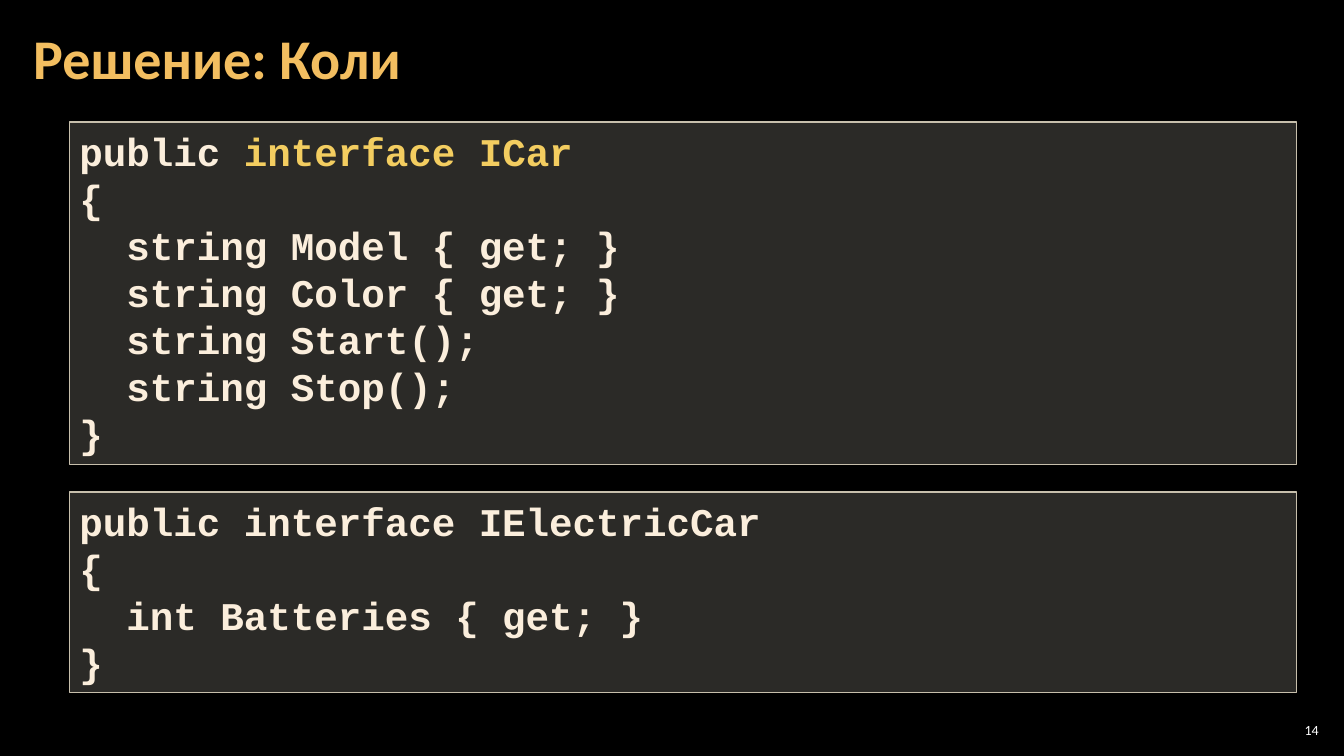
from lxml import etree
from pptx import Presentation
from pptx.dml.color import RGBColor
from pptx.enum.shapes import MSO_SHAPE as Shape
from pptx.enum.text import MSO_ANCHOR as Anchor, MSO_AUTO_SIZE as AutoSize, PP_ALIGN as Align
from pptx.oxml.ns import qn
from pptx.util import Inches, Pt

COLORS = {
    "background": "000000",
    "title": "F3BE60",
    "panel": "D9D5C7",
    "border": "C7BFAC",
    "code": "FBEEDC",
    "keyword": "F3CD60",
    "number": "FFFFFF",
}
PANEL_OPACITY = 20
TITLE = {"text": "Решение: Коли", "box": (0.21, 0, 10.47, 1.21), "insets": (0.12, 0.04),
         "size": 40, "color": "title", "bold": True, "align": Align.LEFT, "spacing": 0.9}
NUMBER = {"text": "14", "box": (12.65, 7.14, 0.47, 0.21), "insets": (0.04, 0.04),
          "size": 10, "color": "number", "bold": False, "align": Align.RIGHT, "spacing": 1.0}
CODE_LEFT, CODE_WIDTH = 0.69, 12.17
LISTINGS = [
    {"top": 1.21, "height": 3.4, "lines": [
        [("public ", "code"), ("interface ICar", "keyword")],
        [("{", "code")],
        [("  string Model { get; }", "code")],
        [("  string Color { get; }", "code")],
        [("  string Start();", "code")],
        [("  string Stop();", "code")],
        [("}", "code")],
    ]},
    {"top": 4.88, "height": 1.99, "lines": [
        [("public interface IElectricCar", "code")],
        [("{", "code")],
        [("  int Batteries { get; }", "code")],
        [("}", "code")],
    ]},
]


def rgb(name):
    return RGBColor.from_string(COLORS[name])


def style(font, face, size, color, bold):
    font.name, font.size, font.bold = face, Pt(size), bold
    font.color.rgb = rgb(color)


def add_label(slide, label):
    frame = slide.shapes.add_textbox(*map(Inches, label["box"])).text_frame
    frame.word_wrap = True
    frame.vertical_anchor = Anchor.MIDDLE
    side, edge = map(Inches, label["insets"])
    frame.margin_left = frame.margin_right = side
    frame.margin_top = frame.margin_bottom = edge
    frame.text = label["text"]
    line = frame.paragraphs[0]
    line.alignment, line.line_spacing = label["align"], label["spacing"]
    style(line.runs[0].font, "Calibri", label["size"], label["color"], label["bold"])


def add_listing(slide, listing):
    box = (CODE_LEFT, listing["top"], CODE_WIDTH, listing["height"])
    panel = slide.shapes.add_shape(Shape.RECTANGLE, *map(Inches, box))
    panel.shadow.inherit = False
    panel.fill.solid()
    panel.fill.fore_color.rgb = rgb("panel")
    tint = panel.fill._xPr.find(qn("a:solidFill"))[0]
    etree.SubElement(tint, qn("a:alpha")).set("val", str(PANEL_OPACITY * 1000))
    panel.line.color.rgb = rgb("border")
    panel.line.width = Pt(1)
    frame = panel.text_frame
    frame.word_wrap = True
    frame.auto_size = AutoSize.SHAPE_TO_FIT_TEXT
    frame.vertical_anchor = Anchor.TOP
    frame.text = "\n".join("" for _ in listing["lines"])
    for line, pieces in zip(frame.paragraphs, listing["lines"]):
        line.alignment = Align.LEFT
        for text, color in pieces:
            run = line.add_run()
            run.text = text
            style(run.font, "Courier New", 28, color, True)


def main():
    """Build the slide with two interface listings."""
    deck = Presentation()
    deck.slide_width, deck.slide_height = Inches(13.33), Inches(7.5)
    slide = deck.slides.add_slide(deck.slide_layouts[6])
    slide.background.fill.solid()
    slide.background.fill.fore_color.rgb = rgb("background")
    add_label(slide, TITLE)
    for listing in LISTINGS:
        add_listing(slide, listing)
    add_label(slide, NUMBER)
    deck.save("out.pptx")


if __name__ == "__main__":
    main()
